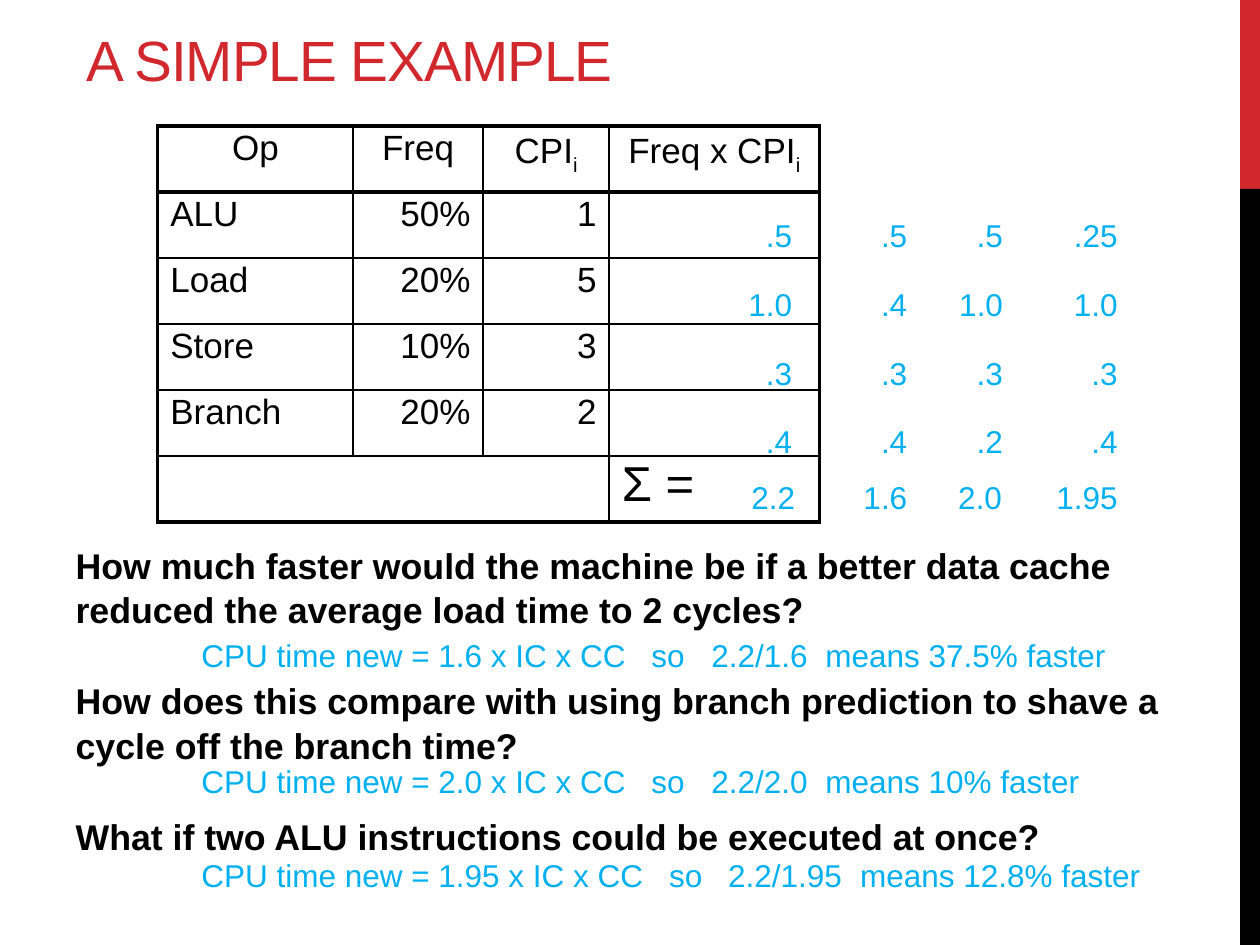
from pptx import Presentation
from pptx.dml.color import RGBColor
from pptx.enum.shapes import MSO_SHAPE
from pptx.enum.text import MSO_ANCHOR, MSO_AUTO_SIZE, PP_ALIGN
from pptx.oxml import parse_xml
from pptx.oxml.ns import nsdecls
from pptx.util import Cm, Pt

LEFT, CENTER, RIGHT = PP_ALIGN.LEFT, PP_ALIGN.CENTER, PP_ALIGN.RIGHT

THEME = {
    "font": "Arial",
    "red": RGBColor(0xD1, 0x28, 0x2E),
    "black": RGBColor(0, 0, 0),
    "blue": RGBColor(0x00, 0xB0, 0xF0),
    "title": 32.4,
    "question": 20.4,
    "cell": 20,
    "sum": 28,
    "answer": 18,
    "thin": 1,
    "thick": 2.25,
}


def style(p, size, color, bold=False):
    for r in p.runs:
        r.font.name = THEME["font"]
        r.font.size = Pt(THEME[size])
        r.font.color.rgb = THEME[color]
        r.font.bold = bold


def add_answers(left, top, width, height, lines, align):
    """Add a blue text box with widely spaced lines and return its text frame."""
    tf = s.shapes.add_textbox(Cm(left), Cm(top), Cm(width), Cm(height)).text_frame
    tf.word_wrap = True
    tf.text = "\n".join(lines)
    for p in tf.paragraphs:
        p.alignment = align
        p.line_spacing = 1.82
        style(p, "answer", "blue")
    return tf


prs = Presentation()
prs.slide_width, prs.slide_height = Cm(25.4), Cm(19.05)
s = prs.slides.add_slide(prs.slide_layouts[1])

# Side bars
for top, height, color in ((0, 3.81, "red"), (3.81, 15.24, "black")):
    sp = s.shapes.add_shape(MSO_SHAPE.RECTANGLE, Cm(25), Cm(top), Cm(0.4), Cm(height))
    sp.shadow.inherit = False
    sp.fill.solid()
    sp.fill.fore_color.rgb = THEME[color]
    sp.line.fill.background()

# Title
title = s.shapes.title
title.left, title.top, title.width, title.height = Cm(1.48), Cm(0.84), Cm(22.66), Cm(1.17)
tf = title.text_frame
tf.auto_size = MSO_AUTO_SIZE.NONE
tf.vertical_anchor = MSO_ANCHOR.BOTTOM
tf.text = "A SIMPLE EXAMPLE"
p = tf.paragraphs[0]
p.alignment = LEFT
style(p, "title", "red")
p.runs[0].font._element.set("spc", "-60")

# Questions
body = s.placeholders[1]
body.left, body.top, body.width, body.height = Cm(1.27), Cm(10.8), Cm(22.86), Cm(6.2)
tf = body.text_frame
tf.auto_size = MSO_AUTO_SIZE.NONE
tf.text = "\n".join((
    "How much faster would the machine be if a better data cache reduced the average load time to 2 cycles?",
    "How does this compare with using branch prediction to shave a cycle off the branch time?",
    "What if two ALU instructions could be executed at once?",
))
for i, p in enumerate(tf.paragraphs):
    pPr = p._p.get_or_add_pPr()
    pPr.set("marL", "0")
    pPr.set("indent", "0")
    pPr.append(parse_xml(f"<a:buNone {nsdecls('a')}/>"))
    p.line_spacing = 1.04
    p.space_before = Pt(THEME["question"] if i else 0)
    p.space_after = Pt(6)
    style(p, "question", "black", bold=True)

# Instruction mix table; "_" marks a subscript
rows = [
    ("Op", "Freq", "CPI_i", "Freq x CPI_i"),
    ("ALU", "50%", "1", ""),
    ("Load", "20%", "5", ""),
    ("Store", "10%", "3", ""),
    ("Branch", "20%", "2", ""),
    ("", "", "", "Σ ="),
]
col_widths = (3.94, 2.62, 2.54, 4.24)
row_height = 1.33
last_row, last_col = len(rows) - 1, len(col_widths) - 1
table = s.shapes.add_table(len(rows), len(col_widths), Cm(3.18), Cm(2.54),
                           Cm(sum(col_widths)), Cm(row_height * len(rows))).table
table.first_row = table.horz_banding = False
for column, width in zip(table.columns, col_widths):
    column.width = Cm(width)
for i, row in enumerate(rows):
    table.rows[i].height = Cm(row_height)
    for j, text in enumerate(row):
        cell = table.cell(i, j)
        tcPr = cell._tc.get_or_add_tcPr()
        thick_sides = {"L": j == 0, "R": j == last_col, "T": i < 2, "B": i in (0, last_row)}
        for side, thick in thick_sides.items():
            width = Pt(THEME["thick" if thick else "thin"])
            tcPr.append(parse_xml(
                f'<a:ln{side} {nsdecls("a")} w="{width}"><a:solidFill>'
                f'<a:srgbClr val="{THEME["black"]}"/></a:solidFill></a:ln{side}>'))
        cell.fill.background()
        if not text:
            continue
        base, _, subscript = text.partition("_")
        p = cell.text_frame.paragraphs[0]
        p.text = base
        if subscript:
            r = p.add_run()
            r.text = subscript
            r.font._element.set("baseline", "-25000")
        p.alignment = CENTER if i == 0 else RIGHT if j in (1, 2) else LEFT
        p.line_spacing = 0.9
        style(p, "sum" if i == last_row else "cell", "black")
table.cell(last_row, 0).merge(table.cell(last_row, 2))

# Products and their sums, aligned on the right edge of each column
products = [
    (16.22, (".5", "1.0", ".3", ".4"), 16.28, "2.2"),
    (18.54, (".5", ".4", ".3", ".4"), 18.54, "1.6"),
    (20.47, (".5", "1.0", ".3", ".2"), 20.45, "2.0"),
    (22.78, (".25", "1.0", ".3", ".4"), 22.78, "1.95"),
]
for right, values, sum_right, total in products:
    add_answers(right - 1.45, 3.61, 1.45, 5.59, values, RIGHT)
    width = 1.45 if len(total) < 4 else 1.8
    add_answers(sum_right - width, 8.89, width, 1.5, [total], RIGHT)

# Answers, with tab stops for their parts
answers = [
    (12.07, "1.6", "37.5%", (9.07, 10.28, 12.58)),
    (14.61, "2.0", "10%", (9.07, 10.28, 12.58)),
    (16.51, "1.95", "12.8%", (9.43, 10.62, 13.28)),
]
for top, cpi, gain, stops in answers:
    line = f"CPU time new = {cpi} x IC x CC\tso\t2.2/{cpi}\tmeans {gain} faster"
    tf = add_answers(3.81, top, 19.7, 1.42, [line], LEFT)
    tabs = "".join(f'<a:tab pos="{Cm(x)}" algn="l"/>' for x in stops)
    tf.paragraphs[0]._p.get_or_add_pPr().append(
        parse_xml(f"<a:tabLst {nsdecls('a')}>{tabs}</a:tabLst>"))

prs.save("out.pptx")
